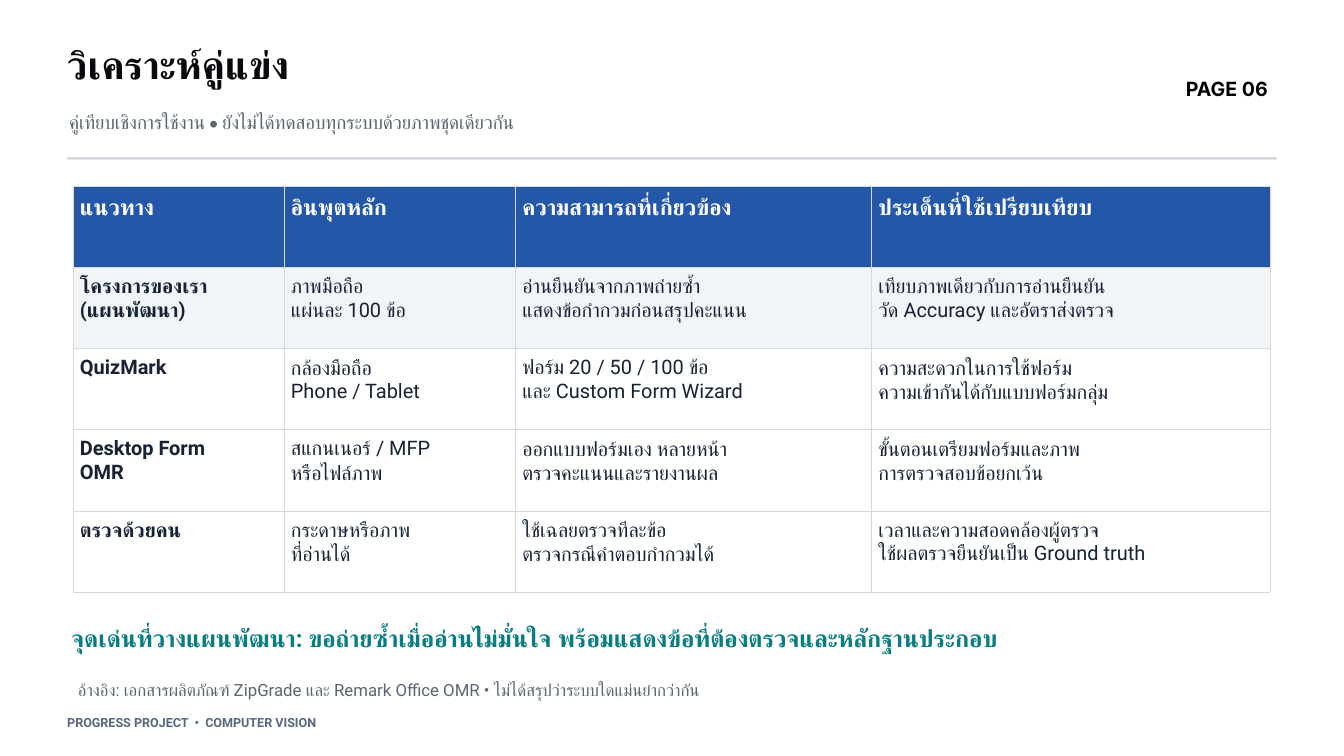
from pptx import Presentation
from pptx.dml.color import RGBColor
from pptx.enum.shapes import MSO_SHAPE
from pptx.enum.text import MSO_ANCHOR, MSO_AUTO_SIZE, PP_ALIGN
from pptx.oxml import parse_xml
from pptx.oxml.ns import nsdecls
from pptx.util import Pt

RECTANGLE = MSO_SHAPE.RECTANGLE
TOP, MIDDLE = MSO_ANCHOR.TOP, MSO_ANCHOR.MIDDLE
NO_AUTOFIT = MSO_AUTO_SIZE.NONE
LEFT, RIGHT = PP_ALIGN.LEFT, PP_ALIGN.RIGHT

BLACK = RGBColor(0x00, 0x00, 0x00)
TITLE_INK = RGBColor(0x08, 0x0A, 0x0D)
INK = RGBColor(0x17, 0x23, 0x35)
GREY = RGBColor(0x5B, 0x65, 0x72)
FOOTER_GREY = RGBColor(0x58, 0x67, 0x7F)
LINE = RGBColor(0xD4, 0xD9, 0xE0)
BLUE = RGBColor(0x24, 0x57, 0xA7)
TEAL = RGBColor(0x08, 0x7E, 0x83)
PALE = RGBColor(0xF2, 0xF5, 0xF7)
WHITE = RGBColor(0xFF, 0xFF, 0xFF)

COLUMN_WIDTHS = [226, 248, 381.5, 427]
ROW_HEIGHT = 87
ROWS = [
    ["แนวทาง", "อินพุตหลัก", "ความสามารถที่เกี่ยวข้อง", "ประเด็นที่ใช้เปรียบเทียบ"],
    ["โครงการของเรา\n(แผนพัฒนา)",
     "ภาพมือถือ\nแผ่นละ 100 ข้อ",
     "อ่านยืนยันจากภาพถ่ายซ้ำ\nแสดงข้อกำกวมก่อนสรุปคะแนน",
     "เทียบภาพเดียวกับการอ่านยืนยัน\nวัด Accuracy และอัตราส่งตรวจ"],
    ["QuizMark",
     "กล้องมือถือ\nPhone / Tablet",
     "ฟอร์ม 20 / 50 / 100 ข้อ\nและ Custom Form Wizard",
     "ความสะดวกในการใช้ฟอร์ม\nความเข้ากันได้กับแบบฟอร์มกลุ่ม"],
    ["Desktop Form\nOMR",
     "สแกนเนอร์ / MFP\nหรือไฟล์ภาพ",
     "ออกแบบฟอร์มเอง หลายหน้า\nตรวจคะแนนและรายงานผล",
     "ขั้นตอนเตรียมฟอร์มและภาพ\nการตรวจสอบข้อยกเว้น"],
    ["ตรวจด้วยคน",
     "กระดาษหรือภาพ\nที่อ่านได้",
     "ใช้เฉลยตรวจทีละข้อ\nตรวจกรณีคำตอบกำกวมได้",
     "เวลาและความสอดคล้องผู้ตรวจ\nใช้ผลตรวจยืนยันเป็น Ground truth"],
]


class SlideBuilder:
    font = "Roboto"

    def __init__(self, slide):
        self.slide = slide

    def fill_text(self, tf, text, size, leading, color, bold=False, align=LEFT, font=None):
        tf.text = text
        for p in tf.paragraphs:
            p.alignment = align
            p.line_spacing = Pt(leading)
            p.space_before = Pt(0)
            p.font.name = font or self.font
            p.font.size = Pt(size)
            p.font.bold = bold
            p.font.color.rgb = color

    def frame(self, sp, box, anchor=TOP):
        sp.left, sp.top, sp.width, sp.height = (Pt(v) for v in box)
        tf = sp.text_frame
        tf.word_wrap = True
        tf.auto_size = NO_AUTOFIT
        tf.vertical_anchor = anchor
        tf.margin_left = tf.margin_top = tf.margin_right = tf.margin_bottom = 0
        return tf

    def title(self, box, *args, **style):
        self.fill_text(self.frame(self.slide.shapes.title, box), *args, **style)

    def text(self, box, *args, anchor=TOP, **style):
        sp = self.slide.shapes.add_textbox(*(Pt(v) for v in box))
        self.fill_text(self.frame(sp, box, anchor), *args, **style)

    def bar(self, box, color):
        sp = self.slide.shapes.add_shape(RECTANGLE, *(Pt(v) for v in box))
        sp.shadow.inherit = False
        sp.fill.solid()
        sp.fill.fore_color.rgb = color
        sp.line.fill.background()

    def borders(self, cell, color, width):
        tcPr = cell._tc.get_or_add_tcPr()
        for i, side in enumerate(("lnL", "lnR", "lnT", "lnB")):
            tcPr.insert(i, parse_xml(
                f'<a:{side} {nsdecls("a")} w="{Pt(width)}"><a:solidFill>'
                f'<a:srgbClr val="{color}"/></a:solidFill></a:{side}>'))

    def table(self, left, top, widths, row_height, rows):
        table = self.slide.shapes.add_table(
            len(rows), len(widths), Pt(left), Pt(top),
            Pt(sum(widths)), Pt(row_height * len(rows))).table
        table.first_row = table.horz_banding = False
        for column, width in zip(table.columns, widths):
            column.width = Pt(width)
        fills = [BLUE, PALE] + [WHITE] * (len(rows) - 2)
        for i, (row, fill) in enumerate(zip(rows, fills)):
            table.rows[i].height = Pt(row_height)
            size, leading, color = (23.6, 28.4, WHITE) if i == 0 else (21.4, 25.6, INK)
            for j, text in enumerate(row):
                cell = table.cell(i, j)
                cell.margin_left = cell.margin_right = Pt(7.2)
                cell.margin_top = cell.margin_bottom = Pt(7.2)
                cell.vertical_anchor = TOP
                cell.fill.solid()
                cell.fill.fore_color.rgb = fill
                self.borders(cell, LINE, 0.75)
                self.fill_text(cell.text_frame, text, size, leading, color,
                               bold=i == 0 or j == 0)


def main():
    prs = Presentation()
    prs.slide_width, prs.slide_height = Pt(1440), Pt(810)
    s = SlideBuilder(prs.slides.add_slide(prs.slide_layouts[5]))

    s.text((1249, 78, 109.5, 28), "PAGE 06", 21, 29.4, BLACK,
           bold=True, align=RIGHT, font="Inter")
    s.text((72, 762.5, 844, 23), "PROGRESS PROJECT  •  COMPUTER VISION",
           13.5, 16.2, FOOTER_GREY, bold=True, anchor=MIDDLE)
    s.title((72, 43, 1260, 64), "วิเคราะห์คู่แข่ง", 41.6, 50, TITLE_INK, bold=True)
    s.text((74, 118, 1238, 34.5),
           "คู่เทียบเชิงการใช้งาน • ยังไม่ได้ทดสอบทุกระบบด้วยภาพชุดเดียวกัน",
           20.2, 24.3, GREY)
    s.bar((72, 168.5, 1296, 2.5), LINE)
    s.table(78.5, 199.5, COLUMN_WIDTHS, ROW_HEIGHT, ROWS)
    s.text((76.5, 668, 1282, 30),
           "จุดเด่นที่วางแผนพัฒนา: ขอถ่ายซ้ำเมื่ออ่านไม่มั่นใจ "
           "พร้อมแสดงข้อที่ต้องตรวจและหลักฐานประกอบ",
           25.6, 30.7, TEAL, bold=True)
    s.text((83.5, 728.5, 1278, 28),
           "อ้างอิง: เอกสารผลิตภัณฑ์ ZipGrade และ Remark Office OMR "
           "• ไม่ได้สรุปว่าระบบใดแม่นยำกว่ากัน",
           18, 21.6, GREY)
    prs.save("out.pptx")


if __name__ == "__main__":
    main()
